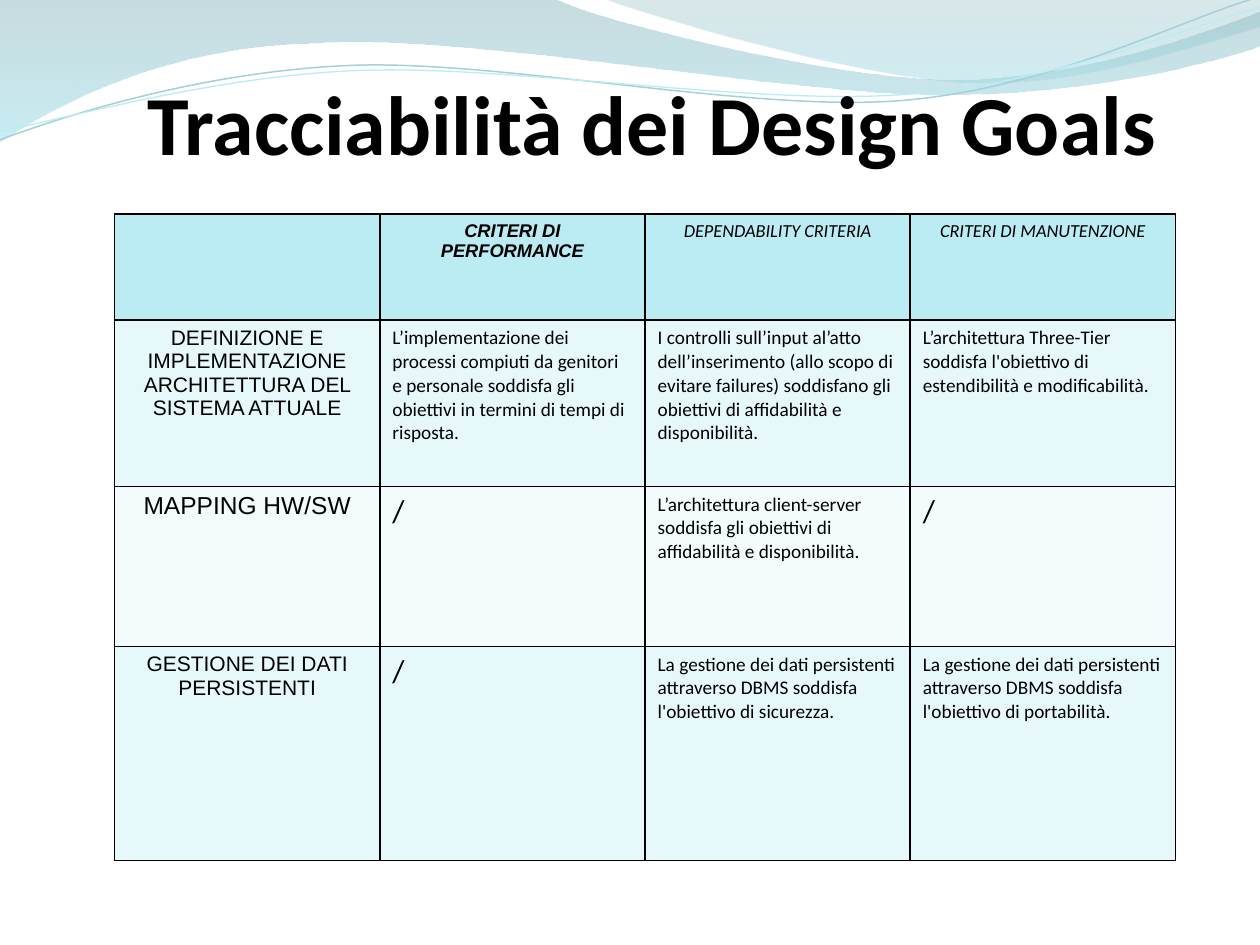
"""Build the slide that traces design goals to architecture decisions."""
from math import cos, radians, sin

from lxml import etree
from pptx import Presentation
from pptx.dml.color import RGBColor
from pptx.enum.text import MSO_ANCHOR, PP_ALIGN
from pptx.oxml.ns import qn
from pptx.util import Inches, Pt

LEFT, CENTER = PP_ALIGN.LEFT, PP_ALIGN.CENTER
TOP = MSO_ANCHOR.TOP
TITLE_ONLY = 5
RIPPLE_TILT = -2.7
RIPPLE_PIVOT = (4.99, 0.57)

THEME = {
    "ink": "000000", "header": "BBECF4", "odd": "E7F8FB", "even": "F3FBFD",
    "sans": "Arial", "body": "Calibri",
    "title_size": 48, "header_size": 10.5, "body_size": 11,
    "label_size": 12, "large_label_size": 14, "slash_size": 18,
}


def write_text(frame, text, size, font=THEME["body"], align=LEFT, bold=False, italic=False):
    paragraph = frame.paragraphs[0]
    paragraph.alignment = align
    run = paragraph.add_run()
    run.text = text
    run.font.size = Pt(size)
    run.font.name = font
    run.font.bold = bold
    run.font.italic = italic
    run.font.color.rgb = RGBColor.from_string(THEME["ink"])


def draw_outline(shapes, segments, closed, tilt=0):
    turn, (pivot_x, pivot_y) = radians(-tilt), RIPPLE_PIVOT
    level = [[(Inches(pivot_x + (x - pivot_x) * cos(turn) - (y - pivot_y) * sin(turn)),
               Inches(pivot_y + (x - pivot_x) * sin(turn) + (y - pivot_y) * cos(turn)))
              for x, y in zip(segment[::2], segment[1::2])] for segment in segments]
    builder = shapes.build_freeform(*level[0][-1])
    builder.add_line_segments([points[-1] for points in level[1:]], close=closed)
    outline = builder.convert_to_shape()
    outline.shadow.inherit = False
    edges = list(outline.element.iter(qn("a:lnTo")))
    for edge, points in zip(edges, level[1:]):
        if len(points) == 3:
            curve = etree.Element(qn("a:cubicBezTo"))
            for x, y in points:
                etree.SubElement(curve, qn("a:pt"), x=str(x - outline.left),
                                 y=str(y - outline.top))
            edge.getparent().replace(edge, curve)
    outline.rotation = tilt
    return outline


presentation = Presentation()
presentation.slide_width, presentation.slide_height = Inches(10), Inches(7.5)
slide = presentation.slides.add_slide(presentation.slide_layouts[TITLE_ONLY])

waves = [
    ([(0, 0), (4.4, -0.01), (4.76, 0.17, 6.64, 0.63, 7.58, 0.63),
      (8.53, 0.63, 9.58, 0.26, 10, 0.09), (10.01, 0.36),
      (9.83, 0.44, 8.7, 0.76, 7.46, 0.75), (6.22, 0.75, 3.82, 0.28, 2.57, 0.34),
      (1.29, 0.36, 0.46, 0.83, -0.01, 1.13)],
     [(0, "86B2B9", 45), (1, "9BE0EC", 55)]),
    ([(4.79, -0.01), (5.09, 0.11, 6.82, 0.62, 7.69, 0.65),
      (8.56, 0.69, 9.61, 0.32, 10, 0.21), (10, 0)],
     [(0, "84B3BB", 30), (0.8, "9BD7E1", 45)]),
]
for segments, stops in waves:
    wave = draw_outline(slide.shapes, segments, closed=True)
    wave.line.fill.background()
    wave.fill.gradient()
    wave.fill.gradient_angle = 270
    for stop, (position, color, _) in zip(wave.fill.gradient_stops, stops):
        stop.position = position
        stop.color.rgb = RGBColor.from_string(color)
    for color_node, (_, _, opacity) in zip(wave.element.iter(qn("a:srgbClr")), stops):
        etree.SubElement(color_node, qn("a:alpha"), val=str(opacity * 1000))

ripples = [
    ([(0, 1.11), (0.48, 0.93, 1.58, 0.57, 2.77, 0.52), (3.95, 0.47, 5.93, 0.89, 7.13, 0.8),
      (8.33, 0.71, 9.38, 0.15, 9.98, -0.02)], "A5D0D7", 0.85),
    ([(0, 1.04), (0.47, 0.96, 1.64, 0.61, 2.83, 0.56), (4.03, 0.51, 5.97, 0.84, 7.17, 0.75),
      (8.36, 0.67, 9.41, 0.21, 10, 0.06)], "BBECF4", 0.75),
]
for segments, color, width in ripples:
    ripple = draw_outline(slide.shapes, segments, closed=False, tilt=RIPPLE_TILT)
    ripple.fill.background()
    ripple.line.color.rgb = RGBColor.from_string(color)
    ripple.line.width = Pt(width)

title = slide.shapes.title
title.left, title.top, title.width, title.height = map(Inches, (1, 0.52, 8.35, 1.21))
title.text_frame.word_wrap = False
title.text_frame.vertical_anchor = TOP
write_text(title.text_frame, "Tracciabilità dei Design Goals", THEME["title_size"],
           align=CENTER, bold=True)
title.element.getparent().append(title.element)

header = {"size": THEME["header_size"], "align": CENTER, "italic": True}
performance = {**header, "font": THEME["sans"], "bold": True}
label = {"size": THEME["label_size"], "font": THEME["sans"], "align": CENTER}
large_label = {**label, "size": THEME["large_label_size"]}
body = {"size": THEME["body_size"]}
slash = ("/", {"size": THEME["slash_size"]})

goals = [
    (0.84, "header", [
        None,
        ("CRITERI DI PERFORMANCE", performance),
        ("DEPENDABILITY CRITERIA", header),
        ("CRITERI DI MANUTENZIONE", header)]),
    (1.32, "odd", [
        ("DEFINIZIONE E IMPLEMENTAZIONE ARCHITETTURA DEL SISTEMA ATTUALE", label),
        ("L’implementazione dei processi compiuti da genitori e personale soddisfa gli "
         "obiettivi in termini di tempi di risposta.", body),
        ("I controlli sull’input al’atto dell’inserimento (allo scopo di evitare failures) "
         "soddisfano gli obiettivi di affidabilità e disponibilità.", body),
        ("L’architettura Three-Tier soddisfa l'obiettivo di estendibilità e modificabilità.",
         body)]),
    (1.27, "even", [
        ("MAPPING HW/SW", large_label),
        slash,
        ("L’architettura client-server soddisfa gli obiettivi di affidabilità e disponibilità.",
         body),
        slash]),
    (1.7, "odd", [
        ("GESTIONE DEI DATI PERSISTENTI", label),
        slash,
        ("La gestione dei dati persistenti attraverso DBMS soddisfa l'obiettivo di sicurezza.",
         body),
        ("La gestione dei dati persistenti attraverso DBMS soddisfa l'obiettivo di portabilità.",
         body)]),
]
goal_table = slide.shapes.add_table(
    len(goals), 4, Inches(0.91), Inches(1.7), Inches(8.42), Inches(5.13)).table
for row, (height, tint, entries) in zip(goal_table.rows, goals):
    row.height = Inches(height)
    for cell, entry in zip(row.cells, entries):
        properties = cell._tc.get_or_add_tcPr()
        for side in ("a:lnL", "a:lnR", "a:lnT", "a:lnB"):
            border = etree.SubElement(properties, qn(side), w=str(Pt(1)))
            border_fill = etree.SubElement(border, qn("a:solidFill"))
            etree.SubElement(border_fill, qn("a:srgbClr"), val=THEME["ink"])
        cell.fill.solid()
        cell.fill.fore_color.rgb = RGBColor.from_string(THEME[tint])
        if entry:
            text, style = entry
            write_text(cell.text_frame, text, **style)

presentation.save("out.pptx")
